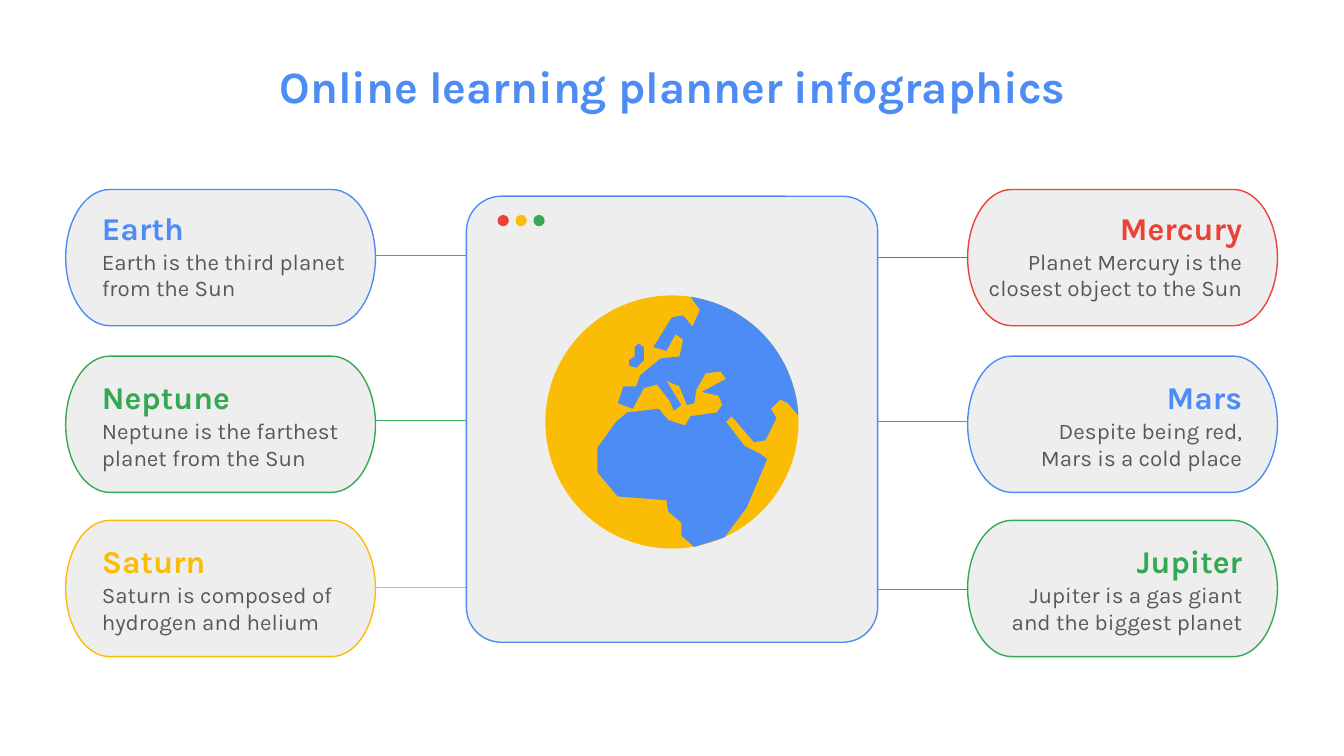
from math import cos, radians, sin

from lxml import etree
from pptx import Presentation
from pptx.dml.color import RGBColor
from pptx.enum import shapes, text
from pptx.oxml.ns import qn
from pptx.util import Pt

BLUE = RGBColor(0x4D, 0x8C, 0xF5)
GREEN = RGBColor(0x34, 0xA8, 0x53)
YELLOW = RGBColor(0xFB, 0xBC, 0x05)
RED = RGBColor(0xEA, 0x43, 0x35)
PANEL = RGBColor(0xEE, 0xEE, 0xEE)
GREY = RGBColor(0x59, 0x59, 0x59)
LEFT, RIGHT, CENTER = text.PP_ALIGN.LEFT, text.PP_ALIGN.RIGHT, text.PP_ALIGN.CENTER
TOP, MIDDLE = text.MSO_ANCHOR.TOP, text.MSO_ANCHOR.MIDDLE

prs = Presentation()
prs.slide_width, prs.slide_height = Pt(720), Pt(405)
s = prs.slides.add_slide(prs.slide_layouts[6])


def add_outline(pts, fill, line=None):
    pts = [(round(x * 100), round(y * 100)) for x, y in pts]
    fb = s.shapes.build_freeform(*pts[0], scale=Pt(0.01))
    fb.add_line_segments(pts[1:], close=True)
    sp = fb.convert_to_shape()
    sp.shadow.inherit = False
    sp.fill.solid()
    sp.fill.fore_color.rgb = fill
    if line is None:
        sp.line.fill.background()
    else:
        sp.line.color.rgb = line
        sp.line.width = Pt(0.75)


def add_text(words, x, y, w, h, size, color, bold, align, anchor=MIDDLE):
    tf = s.shapes.add_textbox(Pt(x), Pt(y), Pt(w), Pt(h)).text_frame
    frame = {"word_wrap": True, "vertical_anchor": anchor}
    frame.update({f"margin_{edge}": Pt(7.2) for edge in ("left", "right", "top", "bottom")})
    for key, value in frame.items():
        setattr(tf, key, value)
    p = tf.paragraphs[0]
    p.text, p.alignment = words, align
    for r in p.runs:
        for key, value in {"name": "Karla", "size": Pt(size), "bold": bold}.items():
            setattr(r.font, key, value)
        r.font.color.rgb = color


# Planets: name, description, colour, line ends and height, side, row
planets = [
    ("Earth", "Earth is the third planet from the Sun", BLUE, 187.2, 331, 137, LEFT, 0),
    ("Neptune", "Neptune is the farthest planet from the Sun", GREEN, 187.2, 292, 225.2, LEFT, 1),
    ("Saturn", "Saturn is composed of hydrogen and helium", YELLOW, 187.2, 348, 314.6, LEFT, 2),
    ("Mercury", "Planet Mercury is the closest object to the Sun", RED, 366, 532, 138, RIGHT, 0),
    ("Mars", "Despite being red,\nMars is a cold place", BLUE, 400, 533, 226, RIGHT, 1),
    ("Jupiter", "Jupiter is a gas giant\nand the biggest planet", GREEN, 377, 534, 316, RIGHT, 2),
]

# Connecting lines, behind everything else
for name, words, color, x1, x2, y, side, row in planets:
    cn = s.shapes.add_connector(shapes.MSO_CONNECTOR.STRAIGHT, Pt(x1), Pt(y), Pt(x2), Pt(y))
    cn.line.color.rgb = color
    cn.line.width = Pt(0.75)
    etree.SubElement(cn._element.spPr, qn("a:effectLst"))

# Window
window = s.shapes.add_shape(shapes.MSO_SHAPE.ROUNDED_RECTANGLE,
                            Pt(249.9), Pt(105.1), Pt(220.3), Pt(239))
window.adjustments[0] = 0.085
window.shadow.inherit = False
window.fill.solid()
window.fill.fore_color.rgb = PANEL
window.line.color.rgb = BLUE
window.line.width = Pt(0.75)

# Window buttons and the globe's disc
GLOBE_X, GLOBE_Y, GLOBE_R = 360, 226.1, 67.8
discs = [(269.6 + 9.6 * i, 118.2, 3, fill) for i, fill in enumerate((RED, YELLOW, GREEN))]
for x, y, radius, fill in discs + [(GLOBE_X, GLOBE_Y, GLOBE_R, YELLOW)]:
    sp = s.shapes.add_shape(shapes.MSO_SHAPE.OVAL, Pt(x - radius), Pt(y - radius),
                            Pt(2 * radius), Pt(2 * radius))
    sp.shadow.inherit = False
    sp.fill.solid()
    sp.fill.fore_color.rgb = fill
    sp.line.fill.background()

# Title
add_text("Online learning planner infographics", 14.4, 24.5, 691.9, 45.4,
         24, BLUE, True, CENTER, TOP)

# Planet cards: half an ellipse at each end
W, H, CORNER = 166, 73, 23.6
for name, words, color, x1, x2, y, side, row in planets:
    x = 35.2 if side == LEFT else 518.4
    y = (101.5, 190.8, 278.8)[row]
    card = []
    for cx, first in ((x + W - CORNER, -90), (x + CORNER, 90)):
        for angle in range(first, first + 181, 6):
            a = radians(angle)
            card.append((cx + CORNER * cos(a), y + H / 2 + H / 2 * sin(a)))
    add_outline(card, PANEL, color)
    tx = 47.5 if side == LEFT else 512
    ty = (105, 195.6, 283.6)[row]
    add_text(name, tx, ty, 160.6, 33.8, 17, color, True, side)
    add_text(words, tx, ty + 21.2, 160.6, 41.8, 12, GREY, False, side)

# Land on the globe: its coast, closed along the globe's edge
coast = [
    (370, 159), (375, 166), (371, 175), (366, 169), (360, 170), (350, 186), (357, 188),
    (362, 179), (366, 182), (364, 191), (354, 192), (343, 201), (341, 207), (334, 207),
    (331, 216), (339, 219), (345, 208), (352, 206), (359, 215), (361, 220), (365, 217),
    (357, 204), (364, 207), (368, 217), (372, 216), (373, 209), (378, 200), (386, 199),
    (389, 203), (376, 210), (385, 212), (387, 217), (384, 221), (370, 223), (367, 228),
    (358, 225), (353, 219), (336, 221), (330, 226), (320, 240), (320, 253), (331, 266),
    (357, 268), (358, 274), (365, 280), (365, 287), (372, 293), (388, 288), (400, 272),
    (411, 246), (407, 243), (399, 239), (389, 226), (392, 223), (404, 237), (410, 236),
    (416, 224), (413, 219), (418, 214), (422, 216),
]
edge = [(GLOBE_X + GLOBE_R * cos(radians(a)), GLOBE_Y - GLOBE_R * sin(radians(a)))
        for a in range(3, 83, 4)]
add_outline(coast + edge, BLUE)

# Island
add_outline([(342, 184), (345, 186), (345, 193), (341, 197), (337, 196), (337, 193),
             (340, 191), (340, 186)], BLUE)

prs.save("out.pptx")
